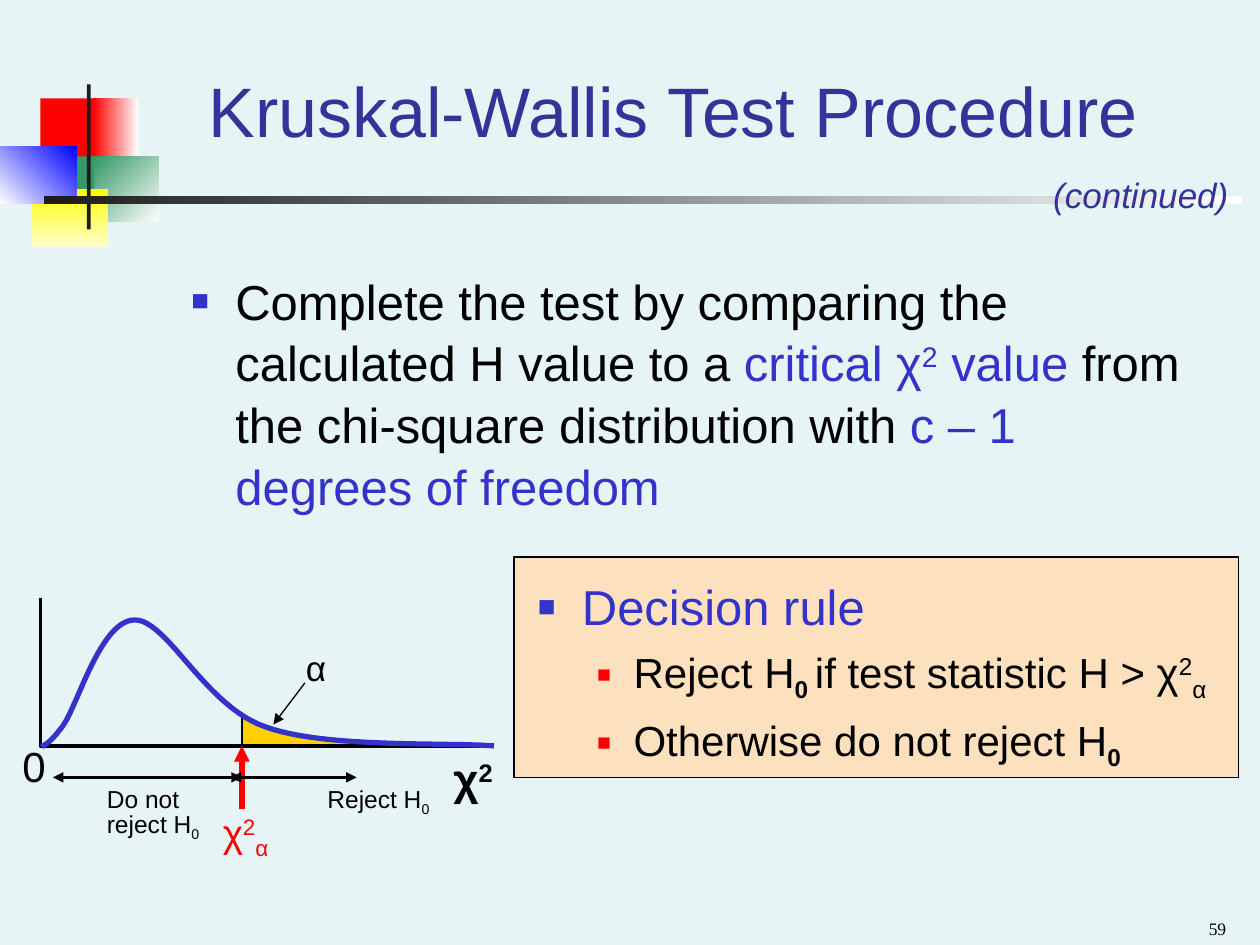
"""Build the Kruskal-Wallis test procedure slide."""
from lxml.etree import SubElement
from pptx import Presentation
from pptx.dml.color import RGBColor as RGB
from pptx.enum.shapes import MSO_CONNECTOR as CONN, MSO_SHAPE as SHAPE
from pptx.enum.text import MSO_ANCHOR as ANCHOR, PP_ALIGN as ALIGN
from pptx.oxml.ns import qn
from pptx.util import Inches, Pt

BG, PEACH, GOLD = RGB(0xE7, 0xF4, 0xF5), RGB(0xFD, 0xE0, 0xBD), RGB(0xFF, 0xCF, 0x01)
BLUE, NAVY, PURE = RGB(0x33, 0x33, 0xCC), RGB(0x33, 0x33, 0x99), RGB(0, 0, 0xFF)
BLACK, DARK, WHITE = RGB(0, 0, 0), RGB(0x1C, 0x1C, 0x1C), RGB(255, 255, 255)
RED, GREEN = RGB(255, 0, 0), RGB(0x33, 0x99, 0x66)
YELLOW, CREAM = RGB(255, 255, 0), RGB(255, 255, 0xCC)
SUP, SUB = 30000, -25000

AXIS_X, AXIS_Y, CRIT_X, CRIT_Y, ARROW_Y = 0.32, 5.92, 1.92, 5.67, 6.17

# left, top, width, height, colours, clockwise angle
ORNAMENT = [
    (0.32, 0.78, 0.48, 0.52, [RED], 0),
    (0.74, 0.78, 0.36, 0.52, [WHITE, RED], 180),
    (0.75, 1.24, 0.51, 0.52, [WHITE, GREEN], 225),
    (0.43, 1.24, 0.32, 0.52, [GREEN], 0),
    (0.25, 1.5, 0.61, 0.46, [YELLOW, CREAM], 90),
    (0, 1.16, 0.61, 0.46, [PURE, WHITE], 135),
    (0.69, 0.67, 0.03, 1.15, [DARK], 0),
    (0.35, 1.56, 9.51, 0.06, [WHITE, DARK], 180),
]

# box, then paragraphs of (size, colour, runs, format); a run is text, or text with changes
HEAD = dict(indent=(0.35, -0.35), bullet=(BLUE, 60))
ITEM = dict(indent=(0.76, -0.29), bullet=(RED, 55), before=6)
TEXTS = [
    ((4.17, 4.25, 5.75, 2.17), [
        (28, BLUE, ["Decision rule"], dict(HEAD, spacing=1.6, before=7)),
        (24, BLACK, ["Reject H", ("0 ", dict(base=SUB, bold=True)),
                     "if test statistic H > χ", ("2", dict(base=SUP)),
                     ("α", dict(base=SUB))], ITEM),
        (24, BLACK, ["Otherwise do not reject H", ("0", dict(base=SUB, bold=True))], ITEM)]),
    ((8.26, 1.33, 1.59, 0.44), [(20, NAVY, [("(continued)", dict(italic=True))], {})]),
    ((1.08, 0.33, 8.52, 0.92), [
        (40, NAVY, ["Kruskal-Wallis Test Procedure"],
         dict(align=ALIGN.CENTER, spacing=0.8, anchor=ANCHOR.BOTTOM))]),
    ((1.42, 2.08, 8.17, 2.17), [
        (28, BLACK, ["Complete the test by comparing the calculated H value to a ",
                     ("critical χ", dict(color=BLUE)), ("2", dict(color=BLUE, base=SUP)),
                     (" value", dict(color=BLUE)), " from the chi-square distribution with ",
                     ("c – 1 degrees of freedom", dict(color=BLUE))],
         dict(HEAD, spacing=1.05, before=15.8))]),
    ((3.5, 5.92, 0.67, 0.51), [
        (25, BLACK, [("χ", dict(bold=True)), ("2", dict(bold=True, base=SUP))], {})]),
    ((1.67, 6.37, 0.83, 0.51), [
        (22, RED, ["χ", ("2", dict(base=SUP)), ("α", dict(base=SUB))], {})]),
    ((0.08, 5.83, 0.5, 0.55), [(24, BLACK, ["0"], dict(before=22.5))]),
    ((2.33, 5.08, 0.42, 0.44), [(20, BLACK, ["α"], dict(before=12.5))]),
    ((2.5, 6.17, 1.08, 0.36), [
        (14, BLACK, ["Reject H", ("0", dict(base=SUB))], dict(before=8.8))]),
    ((0.75, 6.17, 1, 0.51), [
        (14, BLACK, ["Do not"], dict(before=8.8)),
        (14, BLACK, ["reject H", ("0", dict(base=SUB))], dict(before=8.8, spacing=0.2))]),
    ((7.5, 7.15, 2.33, 0.35), [
        (10, BLACK, ["59"],
         dict(align=ALIGN.RIGHT, anchor=ANCHOR.BOTTOM, font="Times New Roman"))]),
]

# start, end, colour, width, arrowheads
LINES = [
    ((CRIT_X, CRIT_Y), (CRIT_X, AXIS_Y), BLACK, 1.5, []),
    ((0.48, 4.5), (0.48, 4.5), RED, 4, []),
    ((2.42, 5.42), (2.17, 5.75), BLACK, 0.74, ["tailEnd"]),
    ((CRIT_X, 6.42), (CRIT_X, AXIS_Y), RED, 3, ["tailEnd"]),
    ((0.42, ARROW_Y), (CRIT_X, ARROW_Y), BLACK, 1.5, ["headEnd", "tailEnd"]),
    ((1.83, ARROW_Y), (2.83, ARROW_Y), BLACK, 1.5, ["headEnd", "tailEnd"]),
]

TAIL_AREA = [(1.92, 5.91), (1.92, 5.67), (2.05, 5.74), (2.15, 5.79), (2.25, 5.81),
             (2.4, 5.84), (2.52, 5.86), (2.72, 5.87), (3.26, 5.89), (3.26, 5.91)]
AXES = [(AXIS_X, 4.75), (AXIS_X, AXIS_Y), (3.92, AXIS_Y)]
CURVE = [(0.33, 5.93), (0.36, 5.9), (0.38, 5.92), (0.5, 5.76), (0.62, 5.59), (0.8, 4.92),
         (1.07, 4.92), (1.33, 4.92), (1.63, 5.61), (2.11, 5.77), (2.58, 5.94),
         (3.54, 5.89), (3.92, 5.92)]


def bezier(knots, steps=24):
    points = [knots[0]]
    for i in range(0, len(knots) - 1, 3):
        for t in (n / steps for n in range(1, steps + 1)):
            weights = ((1 - t) ** 3, 3 * t * (1 - t) ** 2, 3 * t * t * (1 - t), t ** 3)
            points.append(tuple(sum(w * k[axis] for w, k in zip(weights, knots[i:i + 4]))
                                for axis in (0, 1)))
    return points


def paint(sp, colors=(), angle=0, line=None, width=0):
    sp.shadow.inherit = False
    if len(colors) == 2:
        sp.fill.gradient()
        sp.fill.gradient_angle = 360 - angle
        for stop, color in zip(sp.fill.gradient_stops, colors):
            stop.color.rgb = color
    elif colors:
        sp.fill.solid()
        sp.fill.fore_color.rgb = colors[0]
    else:
        sp.fill.background()
    if line is None:
        sp.line.fill.background()
    else:
        sp.line.color.rgb = line
        sp.line.width = Pt(width)


def add_rect(s, box, **look):
    paint(s.shapes.add_shape(SHAPE.RECTANGLE, *map(Inches, box)), **look)


def add_path(s, points, close=False, **look):
    start, *rest = [(Inches(x), Inches(y)) for x, y in points]
    builder = s.shapes.build_freeform(*start)
    builder.add_line_segments(rest, close=close)
    paint(builder.convert_to_shape(), **look)


def add_line(s, start, end, color, width, heads):
    c = s.shapes.add_connector(CONN.STRAIGHT, *map(Inches, start + end))
    c.line.color.rgb = color
    c.line.width = Pt(width)
    for head in heads:
        SubElement(c.line._get_or_add_ln(), qn("a:" + head), type="triangle")
    SubElement(c._element.spPr, qn("a:effectLst"))


def add_bullet(p, color, percent):
    pPr = p._p.get_or_add_pPr()
    SubElement(SubElement(pPr, qn("a:buClr")), qn("a:srgbClr"), val=str(color))
    SubElement(pPr, qn("a:buSzPct"), val=str(percent * 1000))
    SubElement(pPr, qn("a:buFont"), typeface="Arial")
    SubElement(pPr, qn("a:buChar"), char="■")


def add_text(s, box, paragraphs):
    tf = s.shapes.add_textbox(*map(Inches, box)).text_frame
    tf.word_wrap = True
    for i, (size, color, runs, fmt) in enumerate(paragraphs):
        p = tf.add_paragraph() if i else tf.paragraphs[0]
        p.alignment = fmt.get("align", ALIGN.LEFT)
        p.line_spacing = fmt.get("spacing", 1.0)
        p.space_before = Pt(fmt.get("before", 0))
        tf.vertical_anchor = fmt.get("anchor", ANCHOR.TOP)
        if "bullet" in fmt:
            pPr = p._p.get_or_add_pPr()
            for key, value in zip(("marL", "indent"), fmt["indent"]):
                pPr.set(key, str(Inches(value)))
            add_bullet(p, *fmt["bullet"])
        for run in runs:
            text, change = (run, {}) if isinstance(run, str) else run
            r = p.add_run()
            r.text = text
            r.font.name = fmt.get("font", "Arial")
            r.font.size = Pt(size)
            r.font.color.rgb = change.get("color", color)
            r.font.bold = change.get("bold", False)
            r.font.italic = change.get("italic", False)
            if "base" in change:
                r._r.get_or_add_rPr().set("baseline", str(change["base"]))


prs = Presentation()
prs.slide_width, prs.slide_height = Inches(10), Inches(7.5)
s = prs.slides.add_slide(prs.slide_layouts[6])
s.background.fill.solid()
s.background.fill.fore_color.rgb = BG
for *box, colors, angle in ORNAMENT:
    add_rect(s, box, colors=colors, angle=angle)
add_rect(s, (4.08, 4.42, 5.75, 1.75), colors=[PEACH], line=BLACK, width=0.74)
add_path(s, TAIL_AREA, close=True, colors=[GOLD])
add_path(s, AXES, line=BLACK, width=2)
for line in LINES:
    add_line(s, *line)
add_path(s, bezier(CURVE), line=BLUE, width=3)
for box, paragraphs in TEXTS:
    add_text(s, box, paragraphs)
prs.save("out.pptx")
